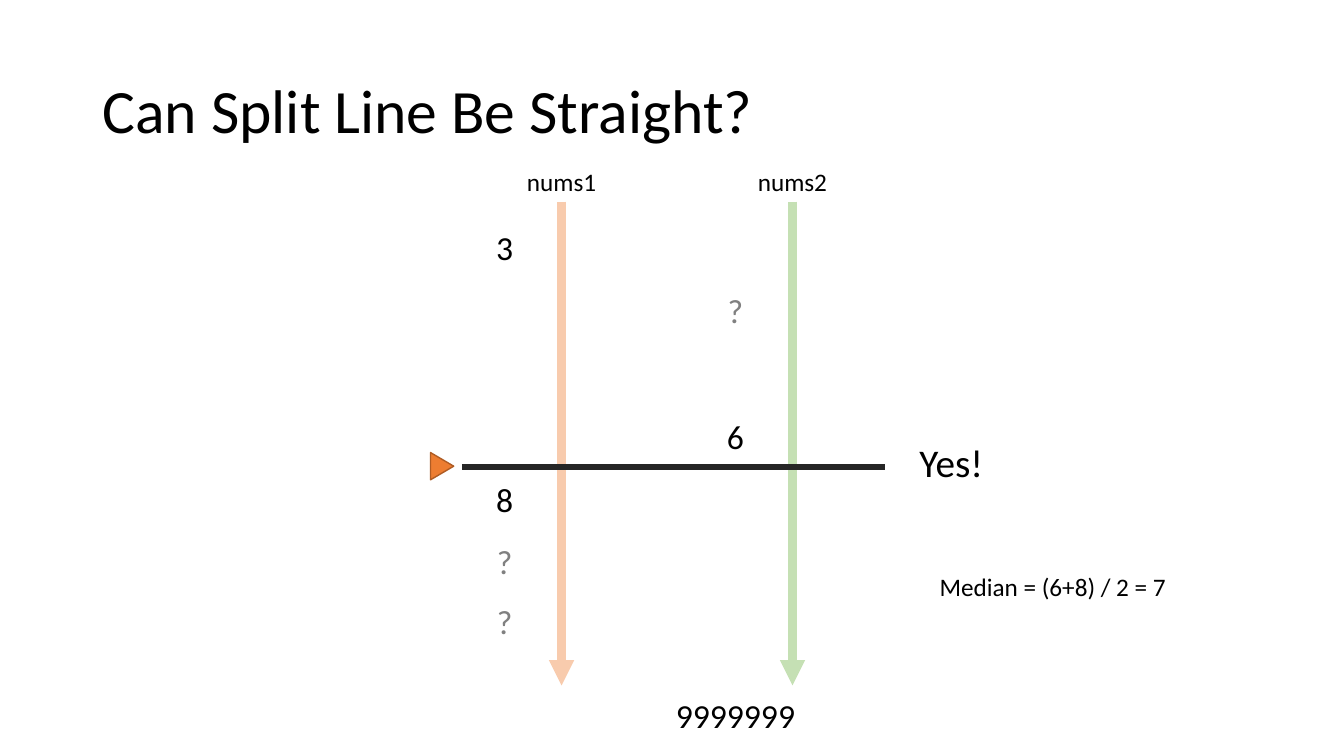
import pptx
import pptx.dml.color
import pptx.enum.shapes
import pptx.enum.text
import pptx.oxml.ns
import pptx.util
from lxml import etree

FONT = "Calibri"
BLACK, GREY, DARK = "000000", "808080", "262626"
ORANGE, ORANGE_EDGE = "ED7D31", "AF5C24"
PEACH, GREEN = "F8CBAD", "C5E0B4"
ALIGN = pptx.enum.text.PP_ALIGN
ANCHOR = pptx.enum.text.MSO_ANCHOR


def px(n):
    """Convert px to EMU, at 100 px to the inch."""
    return pptx.util.Emu(n * 9144)


def rgb(color):
    return pptx.dml.color.RGBColor.from_string(color)


def add_text(slide, box, text, size, color=BLACK, align=ALIGN.LEFT):
    sp = slide.shapes.add_textbox(*map(px, box))
    tf = sp.text_frame
    tf.word_wrap = False
    p = tf.paragraphs[0]
    p.alignment = align
    r = p.add_run()
    r.text = text
    r.font.name = FONT
    r.font.size = pptx.util.Pt(size)
    r.font.color.rgb = rgb(color)
    return tf


def add_line(slide, start, end, color, width, arrow=False):
    line = slide.shapes.add_connector(
        pptx.enum.shapes.MSO_CONNECTOR.STRAIGHT, *map(px, start + end))
    line.line.color.rgb = rgb(color)
    line.line.width = pptx.util.Pt(width)
    qn = pptx.oxml.ns.qn
    if arrow:
        etree.SubElement(line.line._get_or_add_ln(), qn("a:tailEnd"), type="triangle")
    etree.SubElement(line._element.spPr, qn("a:effectLst"))


def add_title(slide, box, text):
    tf = add_text(slide, box, text, 44)
    tf.word_wrap = True
    tf.vertical_anchor = ANCHOR.MIDDLE
    tf.paragraphs[0].line_spacing = 0.9


def add_array(slide, box, name, color, values):
    """Draw a named downward arrow with (text, offset from top) values on its left."""
    left, top, width, height = box
    axis = left + 75
    add_line(slide, (axis, top + 40), (axis, top + height), color, 6, arrow=True)
    add_text(slide, (axis - 45, top, 90, 40), name, 18, align=ALIGN.CENTER)
    for text, offset in values:
        w = 37 + 17 * (len(text) - 1)
        add_text(slide, (left + 18 - w // 2, top + offset, w, 50), text, 24,
                 GREY if text == "?" else BLACK, ALIGN.CENTER)


def add_split(slide, box):
    """Draw the split line in two halves, with a pointer at its left end."""
    left, top, width, height = box
    y = top + height // 2
    start, middle, end = left + 33, left + 231, left + width
    for x1, x2 in ((start, middle), (middle, end)):
        add_line(slide, (x1, y), (x2, y), DARK, 4.5)
    sp = slide.shapes.add_shape(pptx.enum.shapes.MSO_SHAPE.ISOSCELES_TRIANGLE,
                                px(left), px(top + 2), px(27), px(23))
    sp.rotation = 90
    sp.shadow.inherit = False
    sp.fill.solid()
    sp.fill.fore_color.rgb = rgb(ORANGE)
    sp.line.color.rgb = rgb(ORANGE_EDGE)
    sp.line.width = pptx.util.Pt(1)


def add_answer(slide, box):
    left, top, width, height = box
    add_text(slide, (left, top, 84, 57), "Yes!", 28)
    add_text(slide, (left + 20, top + height - 40, width - 20, 40),
             "Median = (6+8) / 2 = 7", 18)


def main():
    prs = pptx.Presentation()
    prs.slide_width, prs.slide_height = px(1333), px(750)
    slide = prs.slides.add_slide(prs.slide_layouts[6])
    add_title(slide, (92, 40, 1150, 145), "Can Split Line Be Straight?")
    add_array(slide, (482, 160, 120, 520), "nums1", PEACH,
              [("3", 60), ("8", 310), ("?", 372), ("?", 431)])
    add_array(slide, (711, 160, 120, 520), "nums2", GREEN,
              [("?", 123), ("6", 248), ("9999999", 524)])
    add_split(slide, (425, 449, 453, 28))
    add_answer(slide, (902, 430, 268, 172))
    prs.save("out.pptx")


if __name__ == "__main__":
    main()
